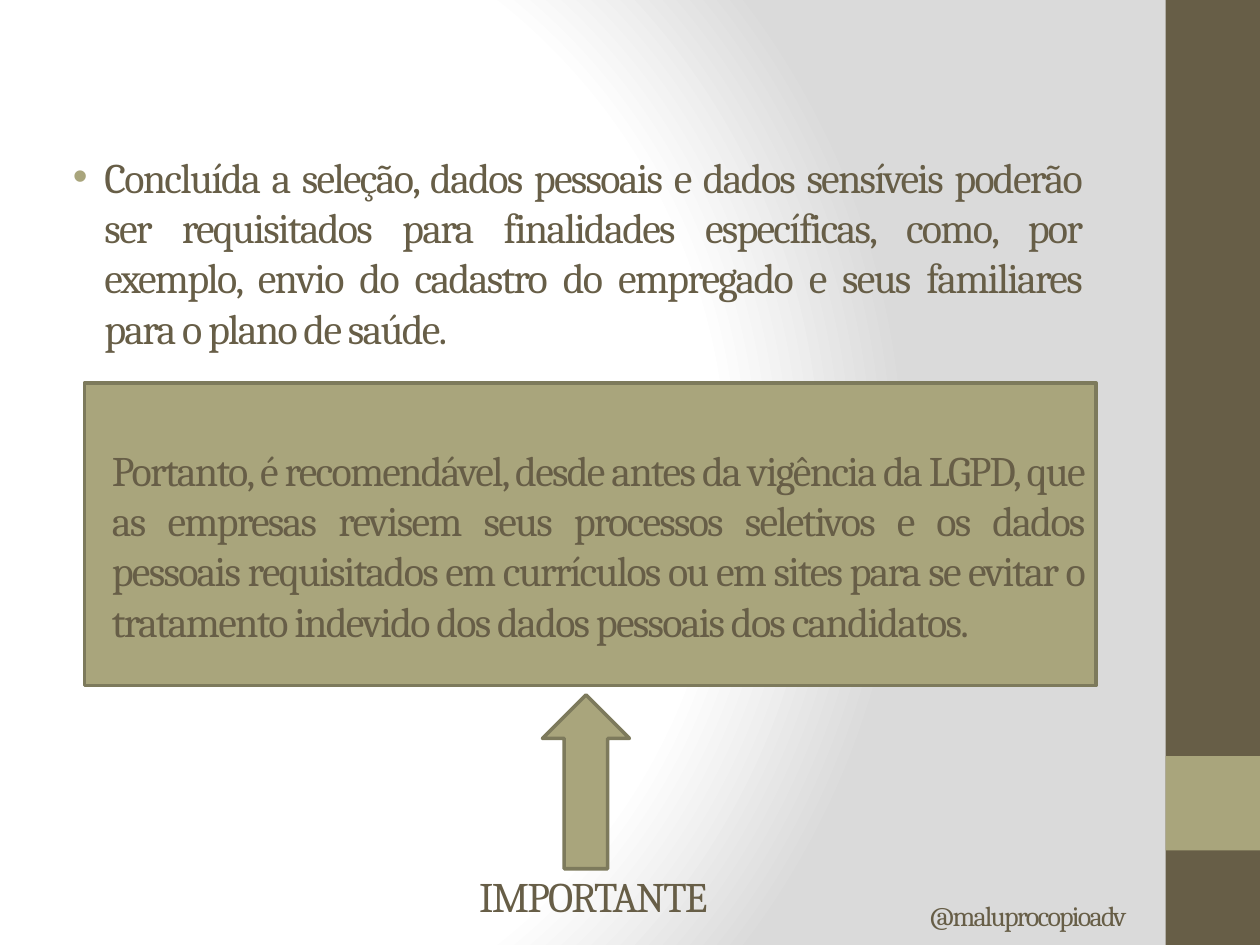
import pptx
import pptx.dml.color
import pptx.enum.shapes
import pptx.enum.text
import pptx.oxml
import pptx.oxml.ns
import pptx.util
from pptx.util import Inches

BROWN = pptx.dml.color.RGBColor(0x67, 0x5E, 0x47)
OLIVE = pptx.dml.color.RGBColor(0xA9, 0xA5, 0x7C)
DARK_OLIVE = pptx.dml.color.RGBColor(0x7D, 0x7A, 0x5C)
WHITE = pptx.dml.color.RGBColor(0xFF, 0xFF, 0xFF)
GREY = pptx.dml.color.RGBColor(0xDA, 0xDA, 0xDA)
FONT = "Cambria"
SHAPES = pptx.enum.shapes.MSO_SHAPE
ALIGN = pptx.enum.text.PP_ALIGN

SELECTION = (
    "Concluída a seleção, dados pessoais e dados sensíveis poderão ser requisitados "
    "para finalidades específicas, como, por exemplo, envio do cadastro do empregado "
    "e seus familiares para o plano de saúde."
)
RECOMMENDATION = (
    "Portanto, é recomendável, desde antes da vigência da LGPD, que as empresas "
    "revisem seus processos seletivos e os dados pessoais requisitados em currículos "
    "ou em sites para se evitar o tratamento indevido dos dados pessoais dos candidatos."
)


def set_background(slide):
    """Give the slide a circular gradient from white to grey."""
    stops = "".join(
        f'<a:gs pos="{position * 1000}"><a:srgbClr val="{color}"/></a:gs>'
        for position, color in ((0, WHITE), (75, WHITE), (100, GREY))
    )
    background = pptx.oxml.parse_xml(
        f'<p:bg {pptx.oxml.ns.nsdecls("p", "a")}><p:bgPr><a:gradFill rotWithShape="1">'
        f'<a:gsLst>{stops}</a:gsLst><a:path path="circle">'
        '<a:fillToRect l="20000" t="50000" r="100000" b="50000"/></a:path>'
        '</a:gradFill><a:effectLst/></p:bgPr></p:bg>'
    )
    slide.element.find(pptx.oxml.ns.qn("p:cSld")).insert(0, background)


def add_block(slide, kind, left, top, width, height, fill, line=None):
    """Add a flat filled shape, outlined when a line colour is given."""
    shape = slide.shapes.add_shape(
        kind, Inches(left), Inches(top), Inches(width), Inches(height)
    )
    shape.shadow.inherit = False
    shape.fill.solid()
    shape.fill.fore_color.rgb = fill
    if line is None:
        shape.line.fill.background()
    else:
        shape.line.color.rgb = line
        shape.line.width = pptx.util.Pt(2)
    return shape


def write_text(shape, text, alignment, size=24):
    """Write one tightly spaced paragraph into a shape and return it."""
    shape.text_frame.word_wrap = True
    paragraph = shape.text_frame.paragraphs[0]
    paragraph.alignment = alignment
    run = paragraph.add_run()
    run.text = text
    run.font.name = FONT
    run.font.size = pptx.util.Pt(size)
    run.font.color.rgb = BROWN
    run.font._element.set("spc", "-100")
    return paragraph


def add_text(slide, left, top, width, height, text, alignment, size=24):
    """Add a wrapping text box and return its paragraph."""
    box = slide.shapes.add_textbox(
        Inches(left), Inches(top), Inches(width), Inches(height)
    )
    return write_text(box, text, alignment, size)


def set_indent(paragraph, margin, bullet_indent=0):
    """Indent a paragraph, with a hanging bullet when an indent is given."""
    properties = paragraph._p.get_or_add_pPr()
    properties.set("marL", str(Inches(margin)))
    properties.set("indent", str(Inches(bullet_indent)))
    if bullet_indent:
        namespace = pptx.oxml.ns.nsdecls("a")
        for markup in (
            f'<a:buClr {namespace}><a:srgbClr val="{OLIVE}"/></a:buClr>',
            f'<a:buFont {namespace} typeface="Arial"/>',
            f'<a:buChar {namespace} char="•"/>',
        ):
            properties.append(pptx.oxml.parse_xml(markup))


def add_recommendation(slide):
    """Add the outlined panel with the recommendation."""
    panel = add_block(slide, SHAPES.RECTANGLE, 0.67, 3.04, 8.03, 2.4, OLIVE, DARK_OLIVE)
    panel.text_frame.vertical_anchor = pptx.enum.text.MSO_ANCHOR.MIDDLE
    panel.text_frame.margin_top = Inches(0.22)
    set_indent(write_text(panel, RECOMMENDATION, ALIGN.JUSTIFY), 0.12)


def main():
    """Build and save the slide."""
    presentation = pptx.Presentation()
    presentation.slide_width = Inches(10)
    presentation.slide_height = Inches(7.5)
    slide = presentation.slides.add_slide(presentation.slide_layouts[6])

    set_background(slide)
    add_block(slide, SHAPES.RECTANGLE, 9.25, 0, 0.75, 7.5, BROWN)
    add_block(slide, SHAPES.RECTANGLE, 9.25, 6, 0.75, 0.75, OLIVE)
    selection = add_text(slide, 0.35, 1.15, 8.33, 1.45, SELECTION, ALIGN.JUSTIFY)
    set_indent(selection, 0.38, -0.25)
    arrow = add_block(
        slide, SHAPES.RIGHT_ARROW, 3.96, 5.86, 1.38, 0.69, OLIVE, DARK_OLIVE
    )
    arrow.rotation = 270
    add_text(slide, 2.98, 6.86, 3.46, 0.5, "IMPORTANTE", ALIGN.CENTER)
    add_recommendation(slide)
    add_text(slide, 7.28, 7.08, 2.76, 0.37, "@maluprocopioadv", ALIGN.LEFT, 16)

    presentation.save("out.pptx")


if __name__ == "__main__":
    main()
